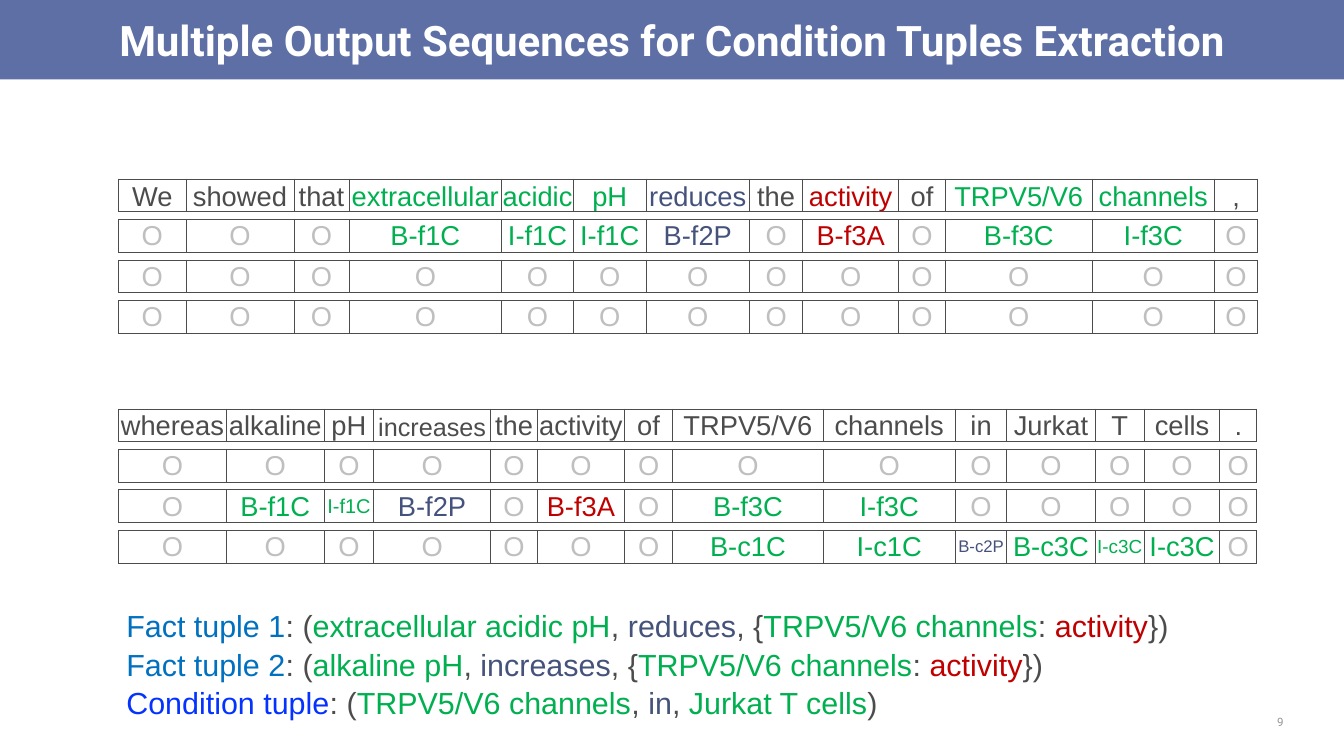
from dataclasses import dataclass

from lxml import etree
from pptx import Presentation
from pptx.dml.color import RGBColor
from pptx.enum.text import MSO_ANCHOR, MSO_AUTO_SIZE, PP_ALIGN
from pptx.oxml.ns import qn
from pptx.util import Cm, Pt

CENTER, LEFT, RIGHT = PP_ALIGN.CENTER, PP_ALIGN.LEFT, PP_ALIGN.RIGHT
BOTTOM, MIDDLE, TOP = MSO_ANCHOR.BOTTOM, MSO_ANCHOR.MIDDLE, MSO_ANCHOR.TOP
NO_AUTOFIT = MSO_AUTO_SIZE.NONE


@dataclass(frozen=True)
class Theme:
    heading_font: str = "Roboto"
    body_font: str = "Arial"
    band: str = "5D6FA5"
    white: str = "FFFFFF"
    ink: str = "4C4C4C"
    outside: str = "BFBFBF"
    concept: str = "00B050"
    predicate: str = "45537C"
    attribute: str = "C00000"
    fact: str = "0070C0"
    condition: str = "0432FF"
    page: str = "969696"
    title_size: int = 40
    token_size: int = 26
    tuple_size: int = 29
    page_size: int = 11


THEME = Theme()
# The last letter of a tag tells its role
ROLE_COLORS = {"C": THEME.concept, "P": THEME.predicate,
               "A": THEME.attribute, "O": THEME.outside}

TABLE_LEFT, ROW_PITCH, ROW_HEIGHT = 3.99, 1.36, 1.1


@dataclass(frozen=True)
class Sentence:
    top: float
    widths: tuple
    words: str
    tag_rows: tuple
    word_colors_from: int  # tag row that colours the words
    small_sizes: dict      # (row, column) -> size, row 0 holds the words


SENTENCES = (
    Sentence(
        6.02,
        (2.26, 3.63, 1.85, 5.13, 2.41, 2.44, 3.48, 1.78, 3.23, 1.57, 4.93, 4.11, 1.45),
        "We showed that extracellular acidic pH reduces the activity of TRPV5/V6 channels ,",
        ("O O O B-f1C I-f1C I-f1C B-f2P O B-f3A O B-f3C I-f3C O",
         "O " * 13,
         "O " * 13),
        0, {}),
    Sentence(
        13.74,
        (3.61, 3.3, 1.65, 3.94, 1.57, 2.92, 1.63, 5.05, 4.44, 1.73, 2.97, 1.65, 2.54, 1.24),
        "whereas alkaline pH increases the activity of TRPV5/V6 channels in Jurkat T cells .",
        ("O " * 14,
         "O B-f1C I-f1C B-f2P O B-f3A O B-f3C I-f3C O O O O O",
         "O O O O O O O B-c1C I-c1C B-c2P B-c3C I-c3C I-c3C O"),
        0, {(0, 3): 24, (2, 2): 19, (3, 9): 16, (3, 11): 18}),
)


def add_run(paragraph, text, color, size, font=THEME.body_font, bold=False):
    run = paragraph.add_run()
    run.text = text
    run.font.name = font
    run.font.size = Pt(size)
    run.font.bold = bold
    run.font.color.rgb = RGBColor.from_string(color)


def place(shape, left, top, width, height):
    shape.left, shape.top = Cm(left), Cm(top)
    shape.width, shape.height = Cm(width), Cm(height)


def prepare_frame(shape, anchor):
    frame = shape.text_frame
    frame.word_wrap = True
    frame.auto_size = NO_AUTOFIT
    frame.vertical_anchor = anchor
    return frame


def set_borders(cell):
    properties = cell._tc.get_or_add_tcPr()
    for side in ("a:lnL", "a:lnR", "a:lnT", "a:lnB"):
        line = etree.SubElement(properties, qn(side), w=str(Pt(1)))
        fill = etree.SubElement(line, qn("a:solidFill"))
        etree.SubElement(fill, qn("a:srgbClr"), val=THEME.ink)


def add_title(slide, text):
    title = slide.shapes.title
    place(title, -0.05, 0, 45.26, 2.67)
    title.fill.solid()
    title.fill.fore_color.rgb = RGBColor.from_string(THEME.band)
    paragraph = prepare_frame(title, MIDDLE).paragraphs[0]
    paragraph.alignment = CENTER
    add_run(paragraph, text, THEME.white, THEME.title_size, THEME.heading_font, True)


def add_token_row(slide, top, widths, tokens, colors, sizes, anchor):
    frame = slide.shapes.add_table(1, len(tokens), Cm(TABLE_LEFT), Cm(top),
                                   Cm(sum(widths)), Cm(ROW_HEIGHT))
    table = frame.table
    table.first_row = table.horz_banding = False
    for column, (width, token, color, size) in enumerate(
            zip(widths, tokens, colors, sizes)):
        table.columns[column].width = Cm(width)
        cell = table.cell(0, column)
        set_borders(cell)
        cell.fill.background()
        cell.vertical_anchor = anchor
        cell.margin_left = cell.margin_right = cell.margin_top = Cm(0.02)
        cell.margin_bottom = 0
        paragraph = cell.text_frame.paragraphs[0]
        paragraph.alignment = CENTER
        add_run(paragraph, token, color, size)


def add_sentence(slide, sentence):
    tag_rows = [tags.split() for tags in sentence.tag_rows]
    tag_colors = [[ROLE_COLORS[tag[-1]] for tag in tags] for tags in tag_rows]
    # Words outside every tuple keep the ink colour
    word_colors = [THEME.ink if color == THEME.outside else color
                   for color in tag_colors[sentence.word_colors_from]]
    rows = [sentence.words.split()] + tag_rows
    for row, (tokens, colors) in enumerate(zip(rows, [word_colors] + tag_colors)):
        sizes = [sentence.small_sizes.get((row, column), THEME.token_size)
                 for column in range(len(tokens))]
        add_token_row(slide, sentence.top + row * ROW_PITCH, sentence.widths,
                      tokens, colors, sizes, MIDDLE if row else BOTTOM)


def tuple_runs(label, label_color, subject, relation, target, attribute=None):
    runs = [(label, label_color), (": (", THEME.ink), (subject, THEME.concept),
            (", ", THEME.ink), (relation, THEME.predicate),
            (", {" if attribute else ", ", THEME.ink), (target, THEME.concept)]
    if attribute:
        runs += [(": ", THEME.ink), (attribute, THEME.attribute)]
    return runs + [("})" if attribute else ")", THEME.ink)]


def add_tuples(slide, tuples):
    body = slide.placeholders[1]
    place(body, TABLE_LEFT, 20.22, 39.62, 3.99)
    frame = prepare_frame(body, TOP)
    for index, runs in enumerate(tuples):
        paragraph = frame.add_paragraph() if index else frame.paragraphs[0]
        properties = paragraph._p.get_or_add_pPr()
        properties.set("marL", "0")
        properties.set("indent", "0")
        etree.SubElement(properties, qn("a:buNone"))
        paragraph.alignment = LEFT
        paragraph.space_before = Pt(0)
        paragraph.line_spacing = 1.05
        for text, color in runs:
            add_run(paragraph, text, color, THEME.tuple_size)


def add_page_number(slide, number):
    box = slide.shapes.add_textbox(Cm(41.99), Cm(23.93), Cm(1.55), Cm(0.66))
    frame = prepare_frame(box, MIDDLE)
    frame.margin_left = frame.margin_right = Cm(0.41)
    frame.margin_top = frame.margin_bottom = Cm(0.2)
    frame.paragraphs[0].alignment = RIGHT
    add_run(frame.paragraphs[0], number, THEME.page, THEME.page_size, THEME.heading_font)


def main():
    deck = Presentation()
    deck.slide_width, deck.slide_height = Cm(45.16), Cm(25.4)
    slide = deck.slides.add_slide(deck.slide_layouts[1])

    # Title band
    add_title(slide, "Multiple Output Sequences for Condition Tuples Extraction")

    # Tagged sentence halves
    for sentence in SENTENCES:
        add_sentence(slide, sentence)

    # Extracted tuples
    channels = "TRPV5/V6 channels"
    add_tuples(slide, (
        tuple_runs("Fact tuple 1", THEME.fact, "extracellular acidic pH", "reduces",
                   channels, "activity"),
        tuple_runs("Fact tuple 2", THEME.fact, "alkaline pH", "increases",
                   channels, "activity"),
        tuple_runs("Condition tuple", THEME.condition, channels, "in", "Jurkat T cells"),
    ))

    # Page number
    add_page_number(slide, "9")
    deck.save("out.pptx")


if __name__ == "__main__":
    main()
